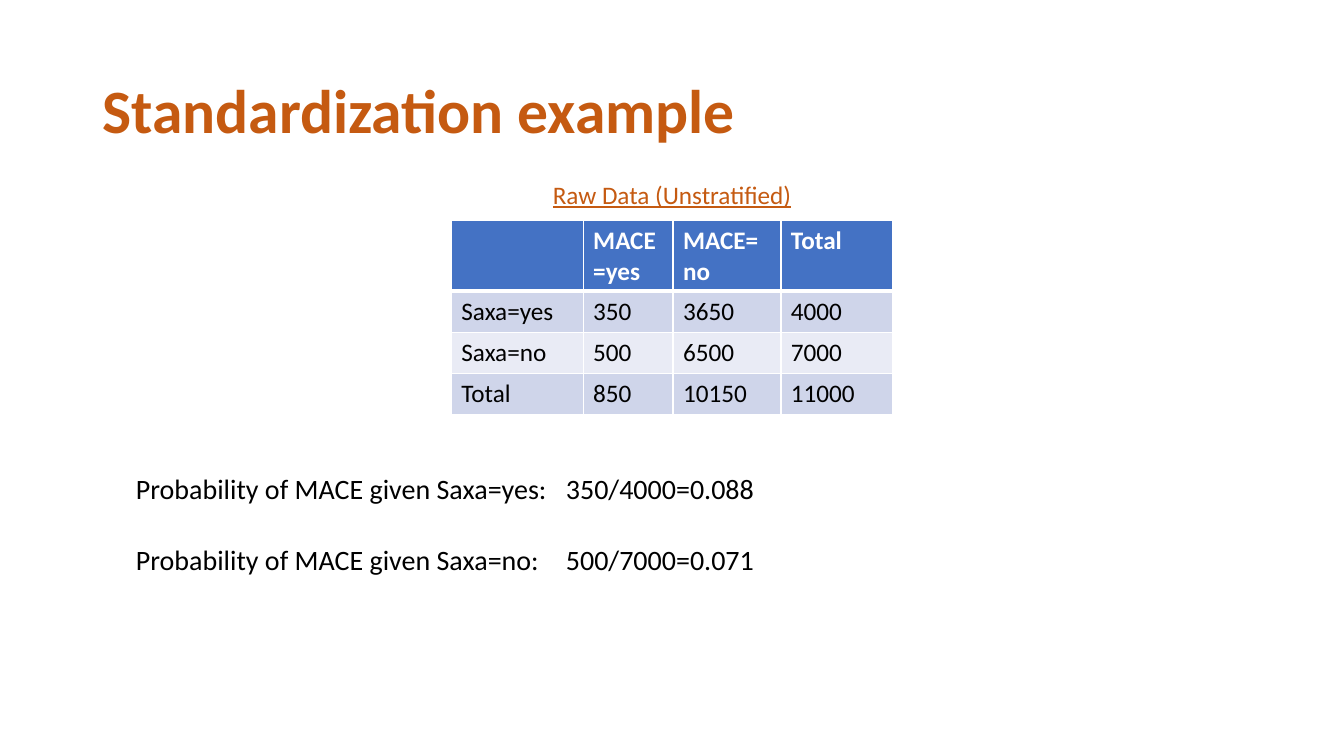
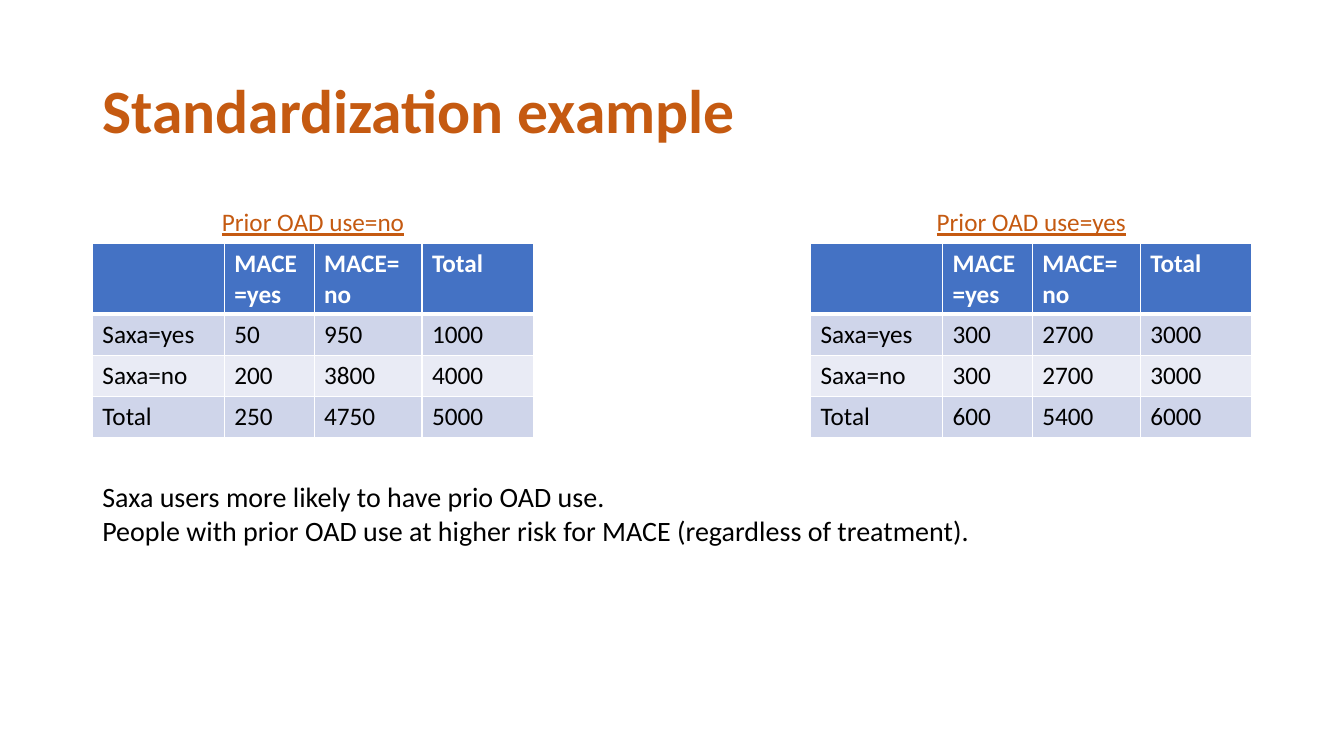
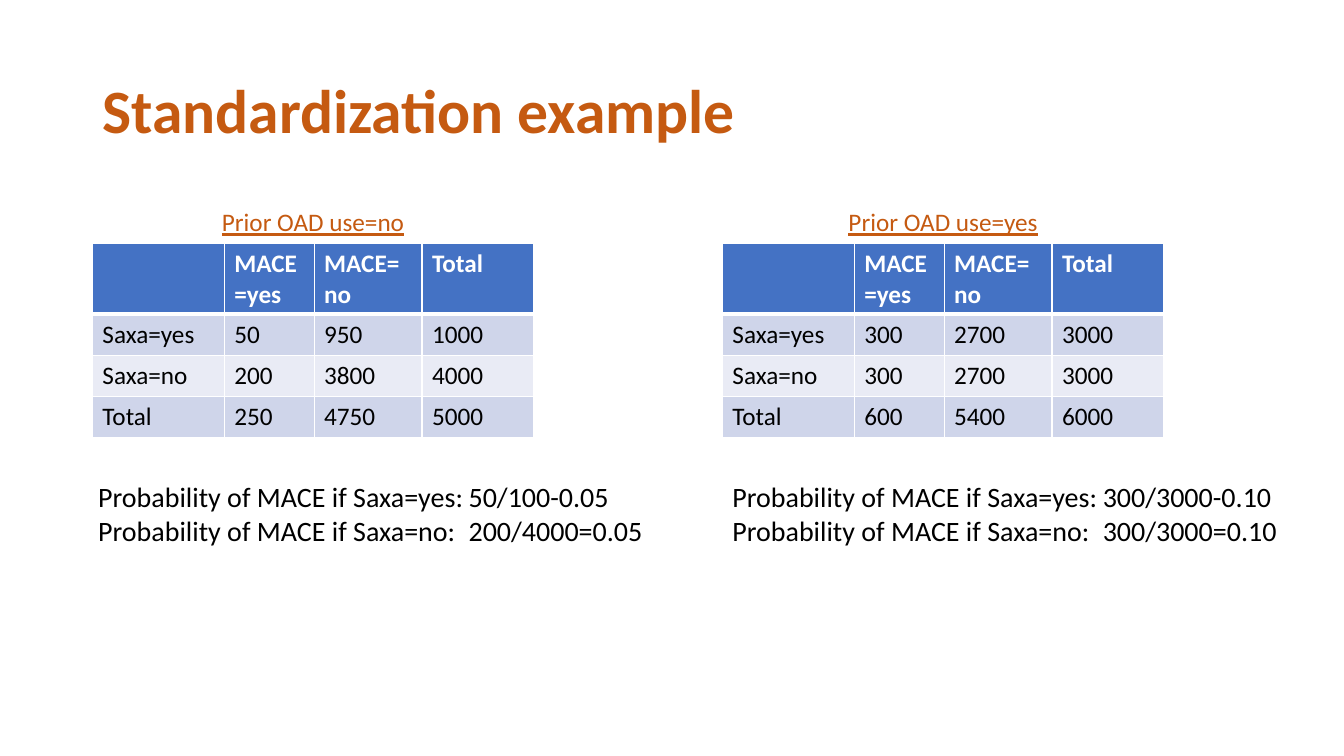
from lxml import etree
from pptx import Presentation
from pptx import util as u
from pptx.dml.color import RGBColor
from pptx.enum import text
from pptx.oxml import ns

COLORS = {
    "accent": "C55A11",
    "header": "4472C4",
    "band": "CFD5EA",
    "light_band": "E9EBF5",
    "ink": "000000",
    "white": "FFFFFF",
}
FONT = "Calibri"
GRID_COLS, GRID_ROWS = 160, 90
CELL = u.Inches(7.5) / GRID_ROWS
TABLE_COLS = (15.7, 10.7, 12.85, 13.3)
TABLE_WIDTH = sum(TABLE_COLS)
HEADER_HEIGHT, ROW_HEIGHT = 8.4, 4.9
CAPTION_HEIGHT = 4.8
LEFT = 11
TITLE_BOX = (LEFT, 4.8, 138, 17.4)


def grid(*lengths):
    """Turn grid units into slide lengths."""
    return [u.Emu(round(length * CELL)) for length in lengths]


def add_run(paragraph, words, size, color, bold=False, underline=False):
    """Add one formatted run to a paragraph."""
    run = paragraph.add_run()
    run.text = words
    font = run.font
    font.name, font.size = FONT, u.Pt(size)
    font.bold, font.underline = bold, underline
    font.color.rgb = RGBColor.from_string(COLORS[color])


def add_text_frame(slide, box):
    """Add a wrapping text box and return its frame."""
    frame = slide.shapes.add_textbox(*grid(*box)).text_frame
    frame.word_wrap = True
    frame.auto_size = text.MSO_AUTO_SIZE.SHAPE_TO_FIT_TEXT
    return frame


def add_title(slide, box, words):
    """Place and style the title placeholder."""
    title = slide.shapes.title
    title.left, title.top, title.width, title.height = grid(*box)
    frame = title.text_frame
    frame.auto_size = text.MSO_AUTO_SIZE.NONE
    frame.vertical_anchor = text.MSO_ANCHOR.MIDDLE
    heading = frame.paragraphs[0]
    heading.alignment = text.PP_ALIGN.LEFT
    heading.line_spacing = 0.9
    add_run(heading, words, 44, "accent", bold=True)


def add_notes(slide, box, lines, answer_stop=None):
    """Write lines of text, with answers aligned at a tab stop."""
    frame = add_text_frame(slide, box)
    for index, line in enumerate(lines):
        note = frame.add_paragraph() if index else frame.paragraphs[0]
        if answer_stop:
            stops = etree.SubElement(note._p.get_or_add_pPr(), ns.qn("a:tabLst"))
            etree.SubElement(stops, ns.qn("a:tab"),
                             pos=str(grid(answer_stop)[0]), algn="l")
        add_run(note, line, 20, "ink")


def set_borders(cell, top, bottom):
    """Draw white borders with the given top and bottom widths."""
    properties = cell._tc.get_or_add_tcPr()
    for side, width in (("L", 1), ("R", 1), ("T", top), ("B", bottom)):
        line = etree.SubElement(properties, ns.qn(f"a:ln{side}"), w=str(u.Pt(width)))
        fill = etree.SubElement(line, ns.qn("a:solidFill"))
        etree.SubElement(fill, ns.qn("a:srgbClr"), val=COLORS["white"])


def contingency_rows(saxa_yes, saxa_no):
    """Build the table's rows from (MACE, no MACE) counts, with totals."""
    total = tuple(map(sum, zip(saxa_yes, saxa_no)))
    rows = [("", "MACE=yes", "MACE=no", "Total")]
    for label, counts in (("Saxa=yes", saxa_yes), ("Saxa=no", saxa_no), ("Total", total)):
        rows.append((label, *map(str, counts), str(sum(counts))))
    return rows


def add_stratum(slide, left, top, caption, saxa_yes, saxa_no, table_drop=5):
    """Place a captioned table of outcome by treatment."""
    heading = add_text_frame(slide, (left, top, TABLE_WIDTH, CAPTION_HEIGHT)).paragraphs[0]
    heading.alignment = text.PP_ALIGN.CENTER
    add_run(heading, caption, 18, "accent", underline=True)

    rows = contingency_rows(saxa_yes, saxa_no)
    heights = [HEADER_HEIGHT] + [ROW_HEIGHT] * (len(rows) - 1)
    box = grid(left, top + table_drop, TABLE_WIDTH, sum(heights))
    table = slide.shapes.add_table(len(rows), len(TABLE_COLS), *box).table
    for column, width in zip(table.columns, grid(*TABLE_COLS)):
        column.width = width
    for r, (values, height) in enumerate(zip(rows, grid(*heights))):
        table.rows[r].height = height
        band = "header" if r == 0 else "band" if r % 2 else "light_band"
        for c, value in enumerate(values):
            cell = table.cell(r, c)
            set_borders(cell, 3 if r == 1 else 1, 3 if r == 0 else 1)
            cell.fill.solid()
            cell.fill.fore_color.rgb = RGBColor.from_string(COLORS[band])
            if value:
                add_run(cell.text_frame.paragraphs[0], value, 18,
                        "ink" if r else "white", bold=r == 0)


def add_example_slide(deck):
    """Add a slide with the shared title."""
    slide = deck.slides.add_slide(deck.slide_layouts[5])
    add_title(slide, TITLE_BOX, "Standardization example")
    return slide


def add_raw_slide(deck):
    """Show the unstratified data and its probabilities."""
    slide = add_example_slide(deck)
    add_stratum(slide, (GRID_COLS - TABLE_WIDTH) / 2, 20.75, "Raw Data (Unstratified)",
                (350, 3650), (500, 6500), table_drop=5.5)
    for top, line in ((55.5, "Probability of MACE given Saxa=yes:\t350/4000=0.088"),
                      (64, "Probability of MACE given Saxa=no:\t500/7000=0.071")):
        add_notes(slide, (15, top, 145, 5.25), [line], answer_stop=51.2)


def add_strata_slide(deck, right):
    """Show the data split by prior OAD use."""
    slide = add_example_slide(deck)
    add_stratum(slide, LEFT, 24, "Prior OAD use=no", (50, 950), (200, 3800))
    add_stratum(slide, right, 24, "Prior OAD use=yes", (300, 2700), (300, 2700))
    return slide


def build():
    """Build and save the deck."""
    deck = Presentation()
    deck.slide_width, deck.slide_height = grid(GRID_COLS, GRID_ROWS)
    add_raw_slide(deck)

    confounding = add_strata_slide(deck, right=96.5)
    add_notes(confounding, (LEFT, 56.5, 145, 9.25), [
        "Saxa users more likely to have prio OAD use.",
        "People with prior OAD use at higher risk for MACE (regardless of treatment).",
    ])

    right = 86
    risks = add_strata_slide(deck, right)
    for left, yes_risk, no_risk in ((10.5, "50/100-0.05", "200/4000=0.05"),
                                    (right, "300/3000-0.10", "300/3000=0.10")):
        add_notes(risks, (left, 56.5, 69, 9.25), [
            f"Probability of MACE if Saxa=yes:\t{yes_risk}",
            f"Probability of MACE if Saxa=no:\t{no_risk}",
        ], answer_stop=44.1)
    deck.save("out.pptx")


build()
